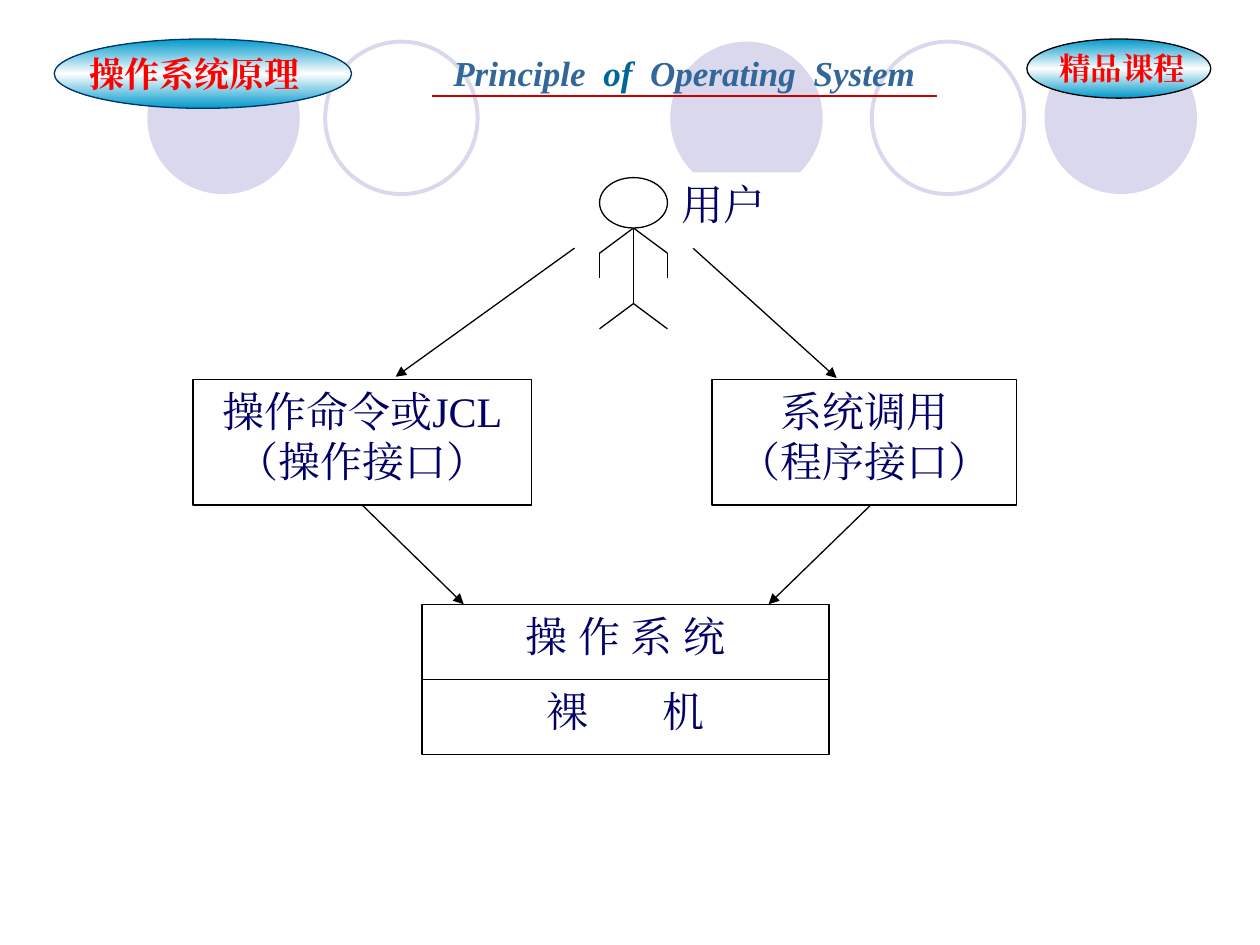
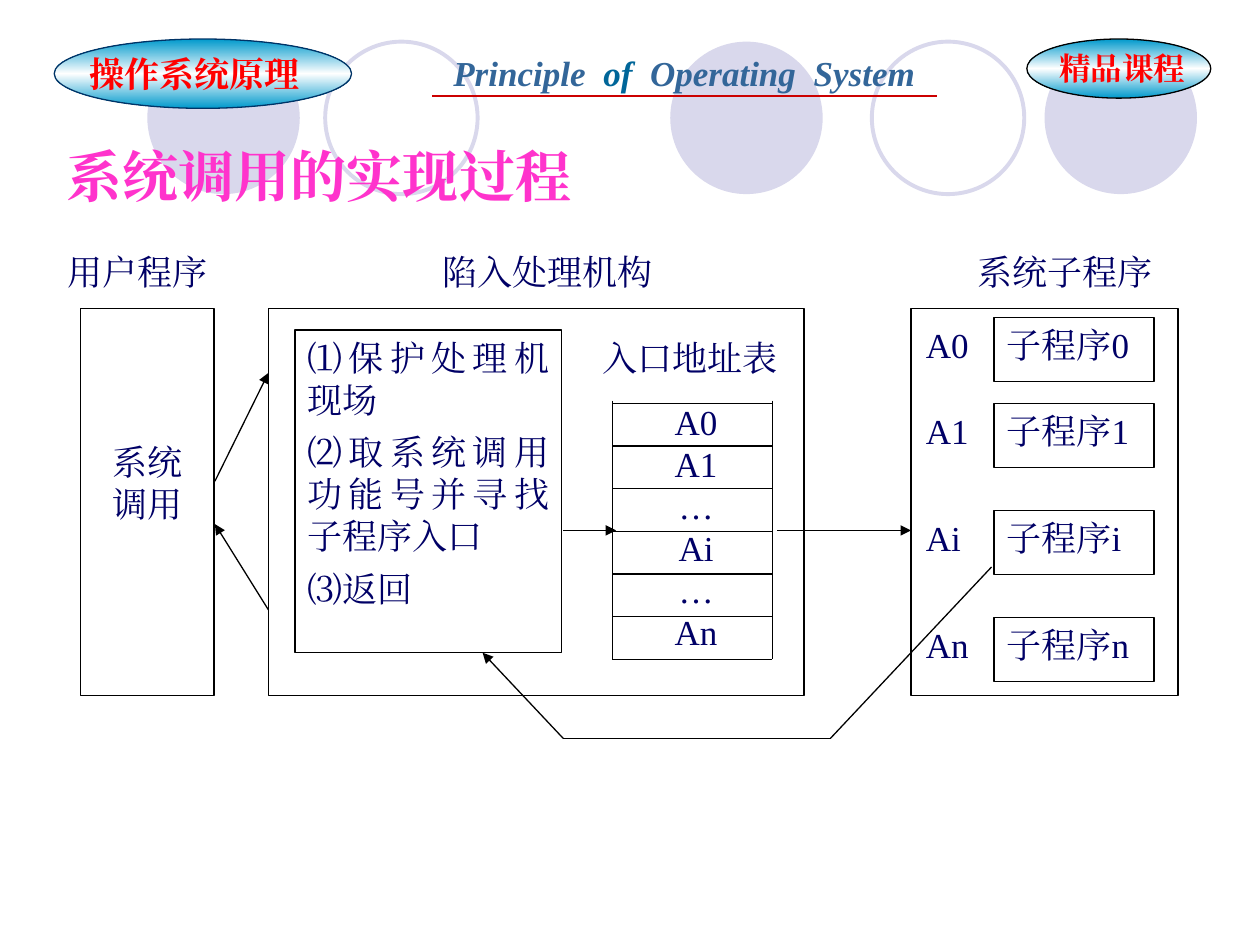
import copy

import lxml.etree
import pptx
import pptx.dml.color
import pptx.enum.shapes
import pptx.enum.text
import pptx.oxml.ns
import pptx.util

Pt = pptx.util.Pt
RGB = pptx.dml.color.RGBColor
qn = pptx.oxml.ns.qn
Align = pptx.enum.text.PP_ALIGN
Preset = pptx.enum.shapes.MSO_SHAPE

# Shared colours and fonts
NAVY = RGB(0x00, 0x00, 0x66)
BLACK = RGB(0x00, 0x00, 0x00)
WHITE = RGB(0xFF, 0xFF, 0xFF)
RED = RGB(0xFF, 0x00, 0x00)
PINK = RGB(0xFF, 0x33, 0xCC)
LAVENDER = RGB(0xD9, 0xD8, 0xEC)
CYAN = RGB(0x00, 0x99, 0xCC)
DEEP_BLUE = RGB(0x00, 0x33, 0x66)
STEEL = RGB(0x33, 0x66, 0x99)
TEAL = RGB(0x00, 0x66, 0x99)
RULE_RED = RGB(0xCC, 0x00, 0x00)
SERIF, SANS, TITLE_FONT = "Times New Roman", "Arial", "Noto Sans CJK SC"

# Header content: text, text box, oval, oval outline, format
DISC_SIZE, DISC_TOP = 87.1, 23.8
SOLID_DISCS, RING_DISCS = (383, 596.9, 84.2), (498.2, 185.8)
BADGES = [
    ("操作系统原理", (43.9, 26.6, 134.6, 31.7), (31, 22.3, 169.9, 39.6),
     DEEP_BLUE, dict(size=20, wrap=False)),
    ("精品课程", (598.3, 24.5, 99.4, 28.8), (586.8, 22.3, 105.1, 33.8),
     BLACK, dict(size=18, font=SANS)),
]
COURSE_WORDS = [("Principle", STEEL), ("of", TEAL), ("Operating", STEEL), ("System", STEEL)]

# Interface diagram: paragraphs and box
COMMANDS = (["操作命令或JCL", "（操作接口）"], (110.2, 216.7, 193.7, 72))
CALLS = (["系统调用", "（程序接口）"], (406.8, 216.7, 174.2, 72))
SYSTEM = (["操 作 系 统"], (241.2, 345.3, 232.6, 43))
MACHINE = ([[("裸", NAVY, 0), (" ", NAVY, 36), ("机", NAVY, 0)]],
           (241.2, 388.3, 232.6, 43))
USER_LABEL = (["用户"], (382.3, 98.6, 96.5, 43.2))
INTERFACE_ARROWS = [
    (328.3, 141.8, 226.1, 215.3),
    (396, 141.8, 478.1, 216),
    (497.5, 288.7, 439.2, 345.3),
]

# System call process
PROCESS_TITLE = "系统调用的实现过程"
COLUMN_LABELS = [
    ("用户程序", (31.7, 139.7, 100.1, 36.7)),
    ("陷入处理机构", (245.5, 139.7, 137.5, 36.7)),
    ("系统子程序", (551.5, 139.7, 137.5, 36.7)),
    ("入口地址表", (337, 188.6, 122.4, 36.7)),
]
PANEL_TOP, PANEL_HEIGHT = 176.4, 221
USER_PANEL, TRAP_PANEL, ROUTINE_PANEL = (46.1, 76.3), (153.4, 306), (520.6, 152.6)
USER_CALL = ["系统", "调用"]
STEPS = ["⑴保护处理机现场", "⑵取系统调用功能号并寻找子程序入口", "⑶返回"]
ENTRIES = ["A0", "A1", "…", "Ai", "…", "An"]
ROUTINES = [("0", 181.4), ("1", 230.4), ("i", 291.6), ("n", 352.8)]
PROCESS_ARROWS = [
    (321.8, 303.1, 352.1, 303.1),
    (444.2, 303.1, 520.6, 303.1),
    (122.8, 275, 153.4, 213.1),
    (153.4, 348.5, 122.8, 299.5),
]
RETURN_PATH = [(566.6, 324), (474.6, 421.9), (321.8, 421.9), (275.8, 373)]


def write(shape, paragraphs, size=20, color=NAVY, font=SERIF, bold=False, italic=False,
          align=Align.JUSTIFY, wrap=True, top=3.6, gap=0):
    """Fill a shape; a paragraph is a string or a list of (text, colour, spacing) runs."""
    frame = shape.text_frame
    frame.word_wrap = wrap
    frame.auto_size = pptx.enum.text.MSO_AUTO_SIZE.NONE
    frame.vertical_anchor = pptx.enum.text.MSO_ANCHOR.TOP
    frame.margin_left = frame.margin_right = Pt(7.2)
    frame.margin_top, frame.margin_bottom = Pt(top), Pt(3.6)
    for index, content in enumerate(paragraphs):
        paragraph = frame.add_paragraph() if index else frame.paragraphs[0]
        paragraph.alignment = align
        paragraph.line_spacing = Pt(1.2 * size)
        if index and gap:
            paragraph.space_before = Pt(gap)
        runs = [(content, color, 0)] if isinstance(content, str) else content
        for text, run_color, spacing in runs:
            run = paragraph.add_run()
            run.text = text
            run.font.size, run.font.name = Pt(size), font
            run.font.bold, run.font.italic = bold, italic
            run.font.color.rgb = run_color
            properties = run.font._element
            lxml.etree.SubElement(properties, qn("a:ea"), typeface=SERIF)
            if spacing:
                properties.set("spc", str(spacing * 100))


def add_shape(slide, box, preset=Preset.RECTANGLE, fill=WHITE, line=BLACK, weight=0.75):
    shape = slide.shapes.add_shape(preset, *map(Pt, box))
    shape.shadow.inherit = False
    if fill is None:
        shape.fill.background()
    else:
        shape.fill.solid()
        shape.fill.fore_color.rgb = fill
    if line is None:
        shape.line.fill.background()
    else:
        shape.line.color.rgb = line
        shape.line.width = Pt(weight)
    return shape


def add_text(slide, box, paragraphs, **fmt):
    write(slide.shapes.add_textbox(*map(Pt, box)), paragraphs, **fmt)


def add_line(slide, ends, color=BLACK, weight=0.75, arrow=False):
    line = slide.shapes.add_connector(
        pptx.enum.shapes.MSO_CONNECTOR.STRAIGHT, *map(Pt, ends))
    line.line.color.rgb = color
    line.line.width = Pt(weight)
    if arrow:
        lxml.etree.SubElement(line.line._get_or_add_ln(), qn("a:tailEnd"), type="triangle")
    lxml.etree.SubElement(line.element.spPr, qn("a:effectLst"))
    return line


def add_badge_oval(slide, box, outline):
    oval = add_shape(slide, box, Preset.OVAL, line=outline)
    oval.fill.gradient()
    oval.fill.gradient_angle = 90
    stops = oval.element.spPr.find(".//" + qn("a:gsLst"))
    stops.append(copy.deepcopy(stops[0]))
    for stop, color, position in zip(oval.fill.gradient_stops, (CYAN, WHITE, CYAN), (0, 0.5, 1)):
        stop.color.rgb = color
        stop.position = position


def build_header(prs, slide):
    """Draw the header on an empty slide, then move it to the slide master."""
    for left in SOLID_DISCS:
        add_shape(slide, (left, DISC_TOP, DISC_SIZE, DISC_SIZE), Preset.OVAL, LAVENDER, None)
    for left in RING_DISCS:
        add_shape(slide, (left, DISC_TOP, DISC_SIZE, DISC_SIZE), Preset.OVAL,
                  None, LAVENDER, 2.25)
    for text, box, oval, outline, fmt in BADGES:
        add_badge_oval(slide, oval, outline)
        add_text(slide, box, [text], color=RED, bold=True, align=Align.LEFT, **fmt)
    runs = []
    for word, color in COURSE_WORDS:
        if runs:
            runs.append((" ", color, 5))
        runs.append((word, color, 0))
    add_text(slide, (252, 25.9, 283, 31.7), [runs], bold=True, italic=True,
             align=Align.LEFT, wrap=False)
    add_line(slide, (247, 54.7, 535.7, 54.7), RULE_RED, 1)

    master_tree = prs.slide_master.element.cSld.spTree
    for number, shape in enumerate(list(slide.shapes), start=100):
        shape.element.xpath(".//p:cNvPr")[0].set("id", str(number))
        master_tree.append(shape.element)


def draw_user(slide):
    """Stick figure on a grid of equal vertical steps."""
    middle, reach, shoulder, step = 362, 19.4, 130.3, 14.4
    elbow, hand, hip, foot = (shoulder + step * n for n in range(1, 5))
    add_line(slide, (middle, shoulder, middle, hip))
    for side in (middle - reach, middle + reach):
        add_line(slide, (middle, hip, side, foot))
        add_line(slide, (middle, shoulder, side, elbow))
        add_line(slide, (side, elbow, side, hand))
    add_shape(slide, (middle - reach, shoulder - 2 * step, 2 * reach, 2 * step), Preset.OVAL)


def build_interfaces(slide):
    boxes = []
    for paragraphs, box in (COMMANDS, CALLS, SYSTEM, MACHINE):
        boxes.append(add_shape(slide, box))
        write(boxes[-1], paragraphs, size=24, align=Align.CENTER)
    for ends in INTERFACE_ARROWS:
        add_line(slide, ends, arrow=True)
    commands_to_system = add_line(slide, (207, 288.7, 265, 345.3), arrow=True)
    commands_to_system.begin_connect(boxes[0], 2)
    draw_user(slide)
    paragraphs, box = USER_LABEL
    write(add_shape(slide, box, line=None), paragraphs, size=24)


def draw_entry_table(slide):
    left, right, top, row = 349.9, 441.4, 230.4, 24.4
    bottom = top + row * len(ENTRIES)
    add_text(slide, (352.1, 225.4, 91.4, 184.3), ENTRIES, align=Align.CENTER)
    for number in range(len(ENTRIES) + 1):
        add_line(slide, (left, top + row * number, right, top + row * number))
    for side in (left, right):
        add_line(slide, (side, top - 1.4, side, bottom))


def build_process(slide):
    # Title
    title = slide.shapes.title
    title.left, title.top, title.width, title.height = map(Pt, (31, 77, 442, 46))
    write(title, [PROCESS_TITLE], size=32, color=PINK, font=TITLE_FONT, bold=True,
          align=Align.LEFT)

    # Panels and their labels
    user, trap, routines = (
        add_shape(slide, (left, PANEL_TOP, width, PANEL_HEIGHT))
        for left, width in (USER_PANEL, TRAP_PANEL, ROUTINE_PANEL))
    write(user, USER_CALL, align=Align.CENTER, top=75.6)
    for text, box in COLUMN_LABELS:
        add_text(slide, box, [text])

    # Trap handling and entry addresses
    write(add_shape(slide, (168.5, 188.6, 152.6, 184.3)), STEPS, gap=6)
    draw_entry_table(slide)

    # Subroutines
    for suffix, top in ROUTINES:
        write(add_shape(slide, (568.1, top, 91.4, 36.7)), ["子程序" + suffix])
        add_text(slide, (522, top, 61.2, 36.7), ["A" + suffix])

    # Flow
    for ends in PROCESS_ARROWS:
        add_line(slide, ends, arrow=True)
    for start, end in zip(RETURN_PATH, RETURN_PATH[1:]):
        add_line(slide, start + end, arrow=end == RETURN_PATH[-1])


def main():
    prs = pptx.Presentation()
    prs.slide_width, prs.slide_height = Pt(720), Pt(540)
    title_only, blank = prs.slide_layouts[5], prs.slide_layouts[6]
    interfaces = prs.slides.add_slide(blank)
    build_header(prs, interfaces)
    build_interfaces(interfaces)
    build_process(prs.slides.add_slide(title_only))
    prs.save("out.pptx")


if __name__ == "__main__":
    main()
